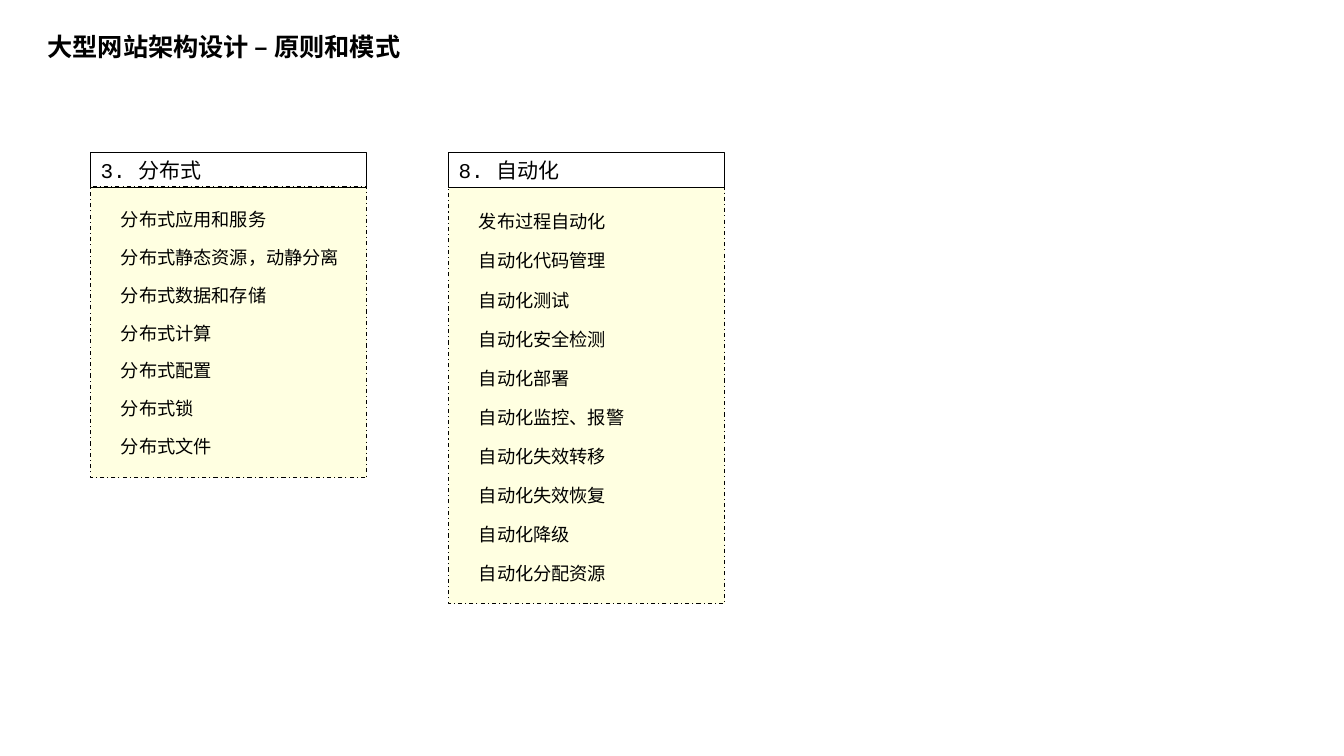
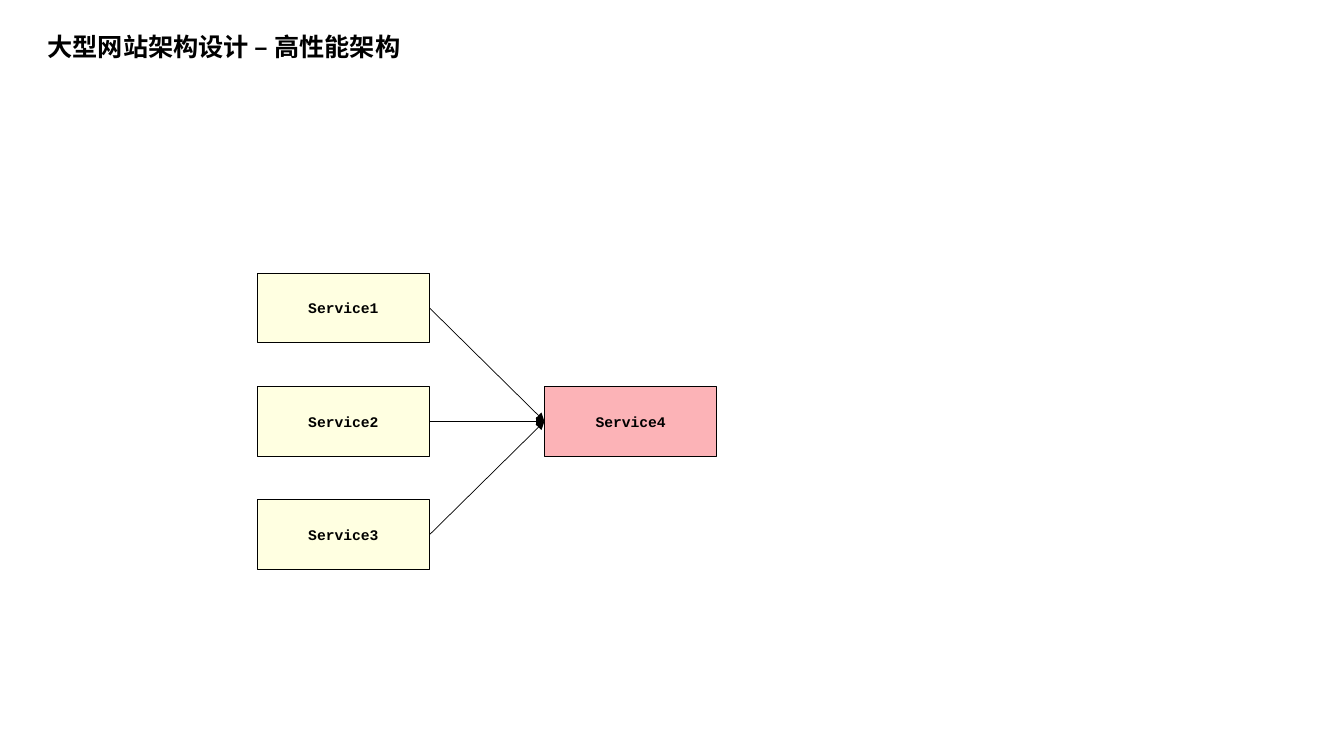
"""Build two slides on large-site architecture: principle lists and a service diagram."""
from lxml import etree
from pptx import Presentation
from pptx.dml.color import RGBColor
from pptx.enum import dml, shapes, text
from pptx.oxml.ns import qn
from pptx.util import Inches, Pt

COLORS = {"ink": "000000", "cream": "FFFFE1", "pink": "FB797F"}
FONT = "Courier New"

PRINCIPLES = {
    "title": "大型网站架构设计 – 原则和模式",
    "panels": [
        {"heading": "3. 分布式", "left": 0.9, "top": 1.85, "height": 2.89, "pitch": 27,
         "items": ["分布式应用和服务", "分布式静态资源，动静分离", "分布式数据和存储",
                   "分布式计算", "分布式配置", "分布式锁", "分布式文件"]},
        {"heading": "8. 自动化", "left": 4.45, "top": 1.86, "height": 4.13, "pitch": 27.9,
         "items": ["发布过程自动化", "自动化代码管理", "自动化测试", "自动化安全检测",
                   "自动化部署", "自动化监控、报警", "自动化失效转移", "自动化失效恢复",
                   "自动化降级", "自动化分配资源"]},
    ],
}
PERFORMANCE = {
    "title": "大型网站架构设计 – 高性能架构",
    "callers": ["Service1", "Service2", "Service3"],
    "target": "Service4",
}

PANEL_WIDTH = 2.74
HEADING_TOP, HEADING_HEIGHT = 1.51, 0.35
SERVICE_SIZE = (1.71, 0.69)
CALLER_LEFT, CALLER_TOP, CALLER_STEP = 2.55, 2.71, 1.125
TARGET_LEFT = 5.4


def color(name):
    return RGBColor.from_string(COLORS[name])


def place(shape, left, top, width, height):
    shape.left, shape.top = Inches(left), Inches(top)
    shape.width, shape.height = Inches(width), Inches(height)


def outline(shape, width=0.75):
    shape.line.color.rgb = color("ink")
    shape.line.width = Pt(width)


def fill(shape, name, alpha=None):
    shape.fill.solid()
    shape.fill.fore_color.rgb = color(name)
    if alpha is not None:
        value = shape.fill._xPr.find(".//" + qn("a:srgbClr"))
        etree.SubElement(value, qn("a:alpha"), val=str(alpha * 1000))


def write(para, words, size, bold=False, align=text.PP_ALIGN.JUSTIFY):
    para.alignment = align
    span = para.add_run()
    span.text = words
    span.font.name = FONT
    span.font.size = Pt(size)
    span.font.bold = bold
    span.font.color.rgb = color("ink")


def set_frame(shape, anchor=text.MSO_ANCHOR.MIDDLE):
    frame = shape.text_frame
    frame.word_wrap = True
    frame.auto_size = text.MSO_AUTO_SIZE.NONE
    frame.vertical_anchor = anchor
    return frame


def add_page(deck, layout, title):
    page = deck.slides.add_slide(deck.slide_layouts.get_by_name(layout))
    place(page.shapes.title, 0.37, 0.26, 4.59, 0.4)
    write(set_frame(page.shapes.title).paragraphs[0], title, 18, bold=True)
    return page


def add_box(page, left, top, width, height):
    box = page.shapes.add_shape(shapes.MSO_SHAPE.RECTANGLE, Inches(left), Inches(top),
                                Inches(width), Inches(height))
    box.shadow.inherit = False
    outline(box)
    return box


def fill_list(body, panel):
    place(body, panel["left"], panel["top"], PANEL_WIDTH, panel["height"])
    fill(body, "cream")
    outline(body)
    body.line.dash_style = dml.MSO_LINE.DASH_DOT
    frame = set_frame(body, text.MSO_ANCHOR.TOP)
    frame.margin_left, frame.margin_top = Inches(0.3), Inches(0.06)
    frame.margin_right = frame.margin_bottom = 0
    for index, item in enumerate(panel["items"]):
        para = frame.add_paragraph() if index else frame.paragraphs[0]
        para.line_spacing = Pt(panel["pitch"])
        para.space_before = para.space_after = Pt(0)
        write(para, item, 13)
        props = para._p.get_or_add_pPr()
        props.set("marL", "0")
        props.set("indent", "0")
        etree.SubElement(props, qn("a:buNone"))


def add_heading(page, panel):
    heading = add_box(page, panel["left"], HEADING_TOP, PANEL_WIDTH, HEADING_HEIGHT)
    heading.fill.background()
    write(set_frame(heading).paragraphs[0], panel["heading"], 15)


def add_service(page, name, left, top, tint, alpha=None):
    box = add_box(page, left, top, *SERVICE_SIZE)
    fill(box, tint, alpha)
    write(set_frame(box).paragraphs[0], name, 10.5, bold=True, align=text.PP_ALIGN.CENTER)
    return box


def add_arrow(page, source, target):
    arrow = page.shapes.add_connector(shapes.MSO_CONNECTOR.STRAIGHT, 0, 0, 0, 0)
    arrow.begin_connect(source, 3)
    arrow.end_connect(target, 1)
    outline(arrow, 0.5)
    etree.SubElement(arrow.line._get_or_add_ln(), qn("a:tailEnd"), type="triangle")
    etree.SubElement(arrow._element.spPr, qn("a:effectLst"))


def build_principles(deck):
    page = add_page(deck, "Two Content", PRINCIPLES["title"])
    bodies = list(page.placeholders)[1:]
    for body, panel in zip(bodies, PRINCIPLES["panels"]):
        fill_list(body, panel)
        add_heading(page, panel)


def build_performance(deck):
    page = add_page(deck, "Title Only", PERFORMANCE["title"])
    callers = [add_service(page, name, CALLER_LEFT, CALLER_TOP + row * CALLER_STEP, "cream")
               for row, name in enumerate(PERFORMANCE["callers"])]
    target = add_service(page, PERFORMANCE["target"], TARGET_LEFT,
                         CALLER_TOP + CALLER_STEP, "pink", alpha=56)
    for caller in callers:
        add_arrow(page, caller, target)


deck = Presentation()
deck.slide_width, deck.slide_height = Inches(13.33), Inches(7.5)
build_principles(deck)
build_performance(deck)
deck.save("out.pptx")
